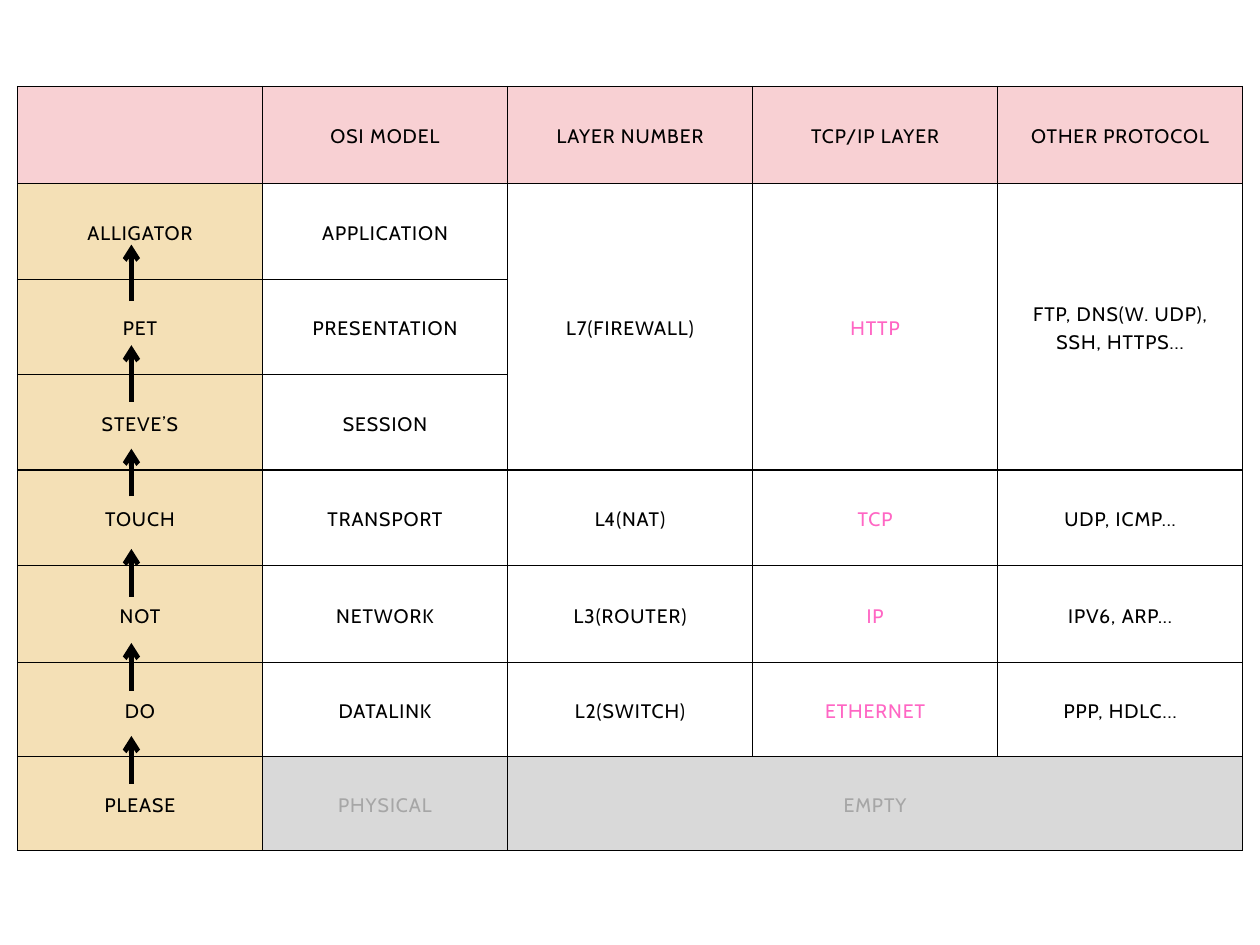
from itertools import accumulate

from lxml import etree
from pptx import Presentation
from pptx.dml.color import RGBColor
from pptx.enum import shapes, text
from pptx.oxml import ns
from pptx.util import Pt

BLACK = RGBColor(0x00, 0x00, 0x00)
WHITE = RGBColor(0xFF, 0xFF, 0xFF)
ROSE = RGBColor(0xF8, 0xD0, 0xD3)
SAND = RGBColor(0xF4, 0xE0, 0xB6)
PINK = RGBColor(0xFF, 0x66, 0xC4)
SILVER = RGBColor(0xD9, 0xD9, 0xD9)
GREY = RGBColor(0xA6, 0xA6, 0xA6)

LAYERS = [
    ["", "OSI MODEL", "LAYER NUMBER", "TCP/IP LAYER", "OTHER PROTOCOL"],
    ["ALLIGATOR", "APPLICATION", "L7(FIREWALL)", "HTTP",
     "FTP, DNS(W. UDP),\nSSH, HTTPS..."],
    ["PET", "PRESENTATION", "", "", ""],
    ["STEVE’S", "SESSION", "", "", ""],
    ["TOUCH", "TRANSPORT", "L4(NAT)", "TCP", "UDP, ICMP..."],
    ["NOT", "NETWORK", "L3(ROUTER)", "IP", "IPV6, ARP..."],
    ["DO", "DATALINK", "L2(SWITCH)", "ETHERNET", "PPP, HDLC..."],
    ["PLEASE", "PHYSICAL", "EMPTY", "", ""],
]
ROW_HEIGHTS = [59.2, 58.2, 58.2, 58.2, 58.4, 59.2, 57.2, 57.2]
MERGES = [((1, col), (3, col)) for col in (2, 3, 4)] + [((7, 2), (7, 4))]
MNEMONIC_STEPS = [  # tail's drop below the row border, arrow length
    (13.5, 34.5), (16.6, 34.5), (16, 29), (18.7, 29), (16.8, 29), (16.3, 29)]


def cell_colours(row, col):
    """Return the fill and the text colour of a cell."""
    if row == 0:
        return ROSE, BLACK
    if col == 0:
        return SAND, BLACK
    if row == len(LAYERS) - 1:
        return SILVER, GREY
    return WHITE, PINK if col == 3 else BLACK


def add_borders(cell):
    properties = cell._tc.get_or_add_tcPr()
    for place, side in enumerate(("lnL", "lnR", "lnT", "lnB")):
        border = etree.Element(ns.qn(f"a:{side}"), w=str(Pt(0.75)))
        fill = etree.SubElement(border, ns.qn("a:solidFill"))
        etree.SubElement(fill, ns.qn("a:srgbClr"), val=str(BLACK))
        properties.insert(place, border)


def fill_cell(cell, wording, fill, colour):
    cell.fill.solid()
    cell.fill.fore_color.rgb = fill
    add_borders(cell)
    cell.margin_left = cell.margin_right = Pt(0)
    cell.margin_top = cell.margin_bottom = Pt(0)
    cell.vertical_anchor = text.MSO_ANCHOR.MIDDLE
    cell.text_frame.text = wording
    for paragraph in cell.text_frame.paragraphs:
        paragraph.alignment = text.PP_ALIGN.CENTER
        paragraph.line_spacing = Pt(16.7)
        paragraph.font.size = Pt(11.9)
        for run in paragraph.runs:
            run.font.name = "Cabin"
            run.font.size = Pt(11.9)
            run.font.color.rgb = colour
            run._r.get_or_add_rPr().set("spc", "60")


def add_layer_table(slide, left, top, width):
    table = slide.shapes.add_table(
        len(LAYERS), len(LAYERS[0]), Pt(left), Pt(top), Pt(width),
        Pt(sum(ROW_HEIGHTS))).table
    table.first_row = table.horz_banding = False
    for column in table.columns:
        column.width = Pt(width / len(LAYERS[0]))
    for row, (height, wordings) in enumerate(zip(ROW_HEIGHTS, LAYERS)):
        table.rows[row].height = Pt(height)
        for col, wording in enumerate(wordings):
            fill_cell(table.cell(row, col), wording, *cell_colours(row, col))
    for first, last in MERGES:
        table.cell(*first).merge(table.cell(*last))


def add_mnemonic_arrows(slide, centre, top):
    """Point upwards across each border between two mnemonic words."""
    borders = list(accumulate(ROW_HEIGHTS))[1:-1]
    for border, (drop, length) in zip(borders, MNEMONIC_STEPS):
        tail = top + border + drop
        arrow = slide.shapes.add_connector(
            shapes.MSO_CONNECTOR.STRAIGHT,
            Pt(centre), Pt(tail), Pt(centre), Pt(tail - length))
        arrow.line.color.rgb = BLACK
        arrow.line.width = Pt(3)
        etree.SubElement(arrow.line._get_or_add_ln(), ns.qn("a:tailEnd"),
                         type="arrow")
        etree.SubElement(arrow._element.spPr, ns.qn("a:effectLst"))


def main():
    presentation = Presentation()
    presentation.slide_width = Pt(768)
    presentation.slide_height = Pt(576)
    slide = presentation.slides.add_slide(presentation.slide_layouts[6])
    left, top = 10.6, 52.7
    add_layer_table(slide, left, top, width=746.8)
    add_mnemonic_arrows(slide, left + 69.5, top)
    presentation.save("out.pptx")


if __name__ == "__main__":
    main()
